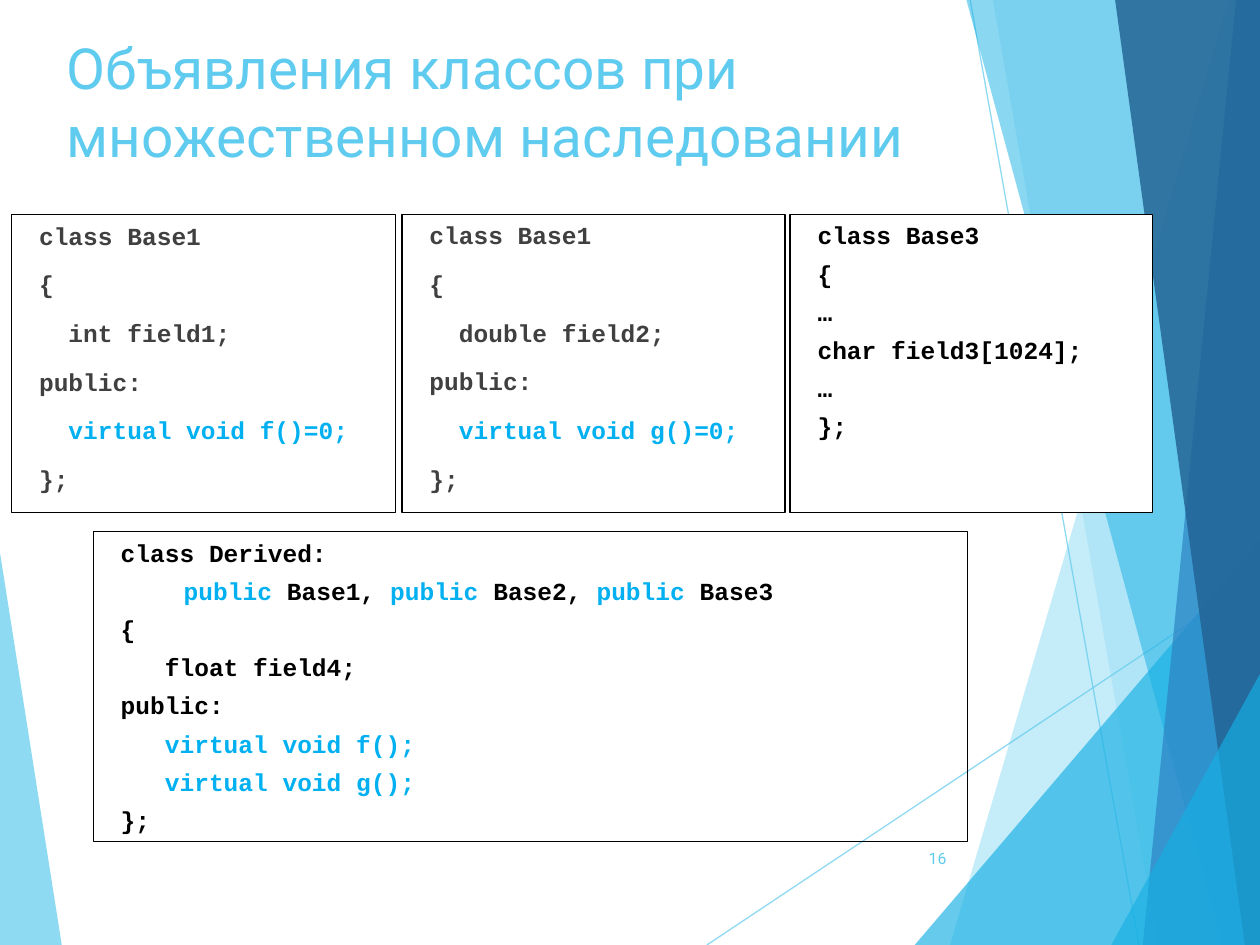
from lxml import etree
from pptx import Presentation
from pptx.dml.color import RGBColor
from pptx.enum.shapes import MSO_CONNECTOR, MSO_SHAPE
from pptx.enum.text import MSO_ANCHOR, MSO_AUTO_SIZE, PP_ALIGN
from pptx.oxml.ns import qn
from pptx.util import Inches, Pt

STRAIGHT = MSO_CONNECTOR.STRAIGHT
RECTANGLE = MSO_SHAPE.RECTANGLE
TOP, MIDDLE = MSO_ANCHOR.TOP, MSO_ANCHOR.MIDDLE
LEFT, RIGHT = PP_ALIGN.LEFT, PP_ALIGN.RIGHT
NO_FIT = MSO_AUTO_SIZE.NONE

WIDTH, HEIGHT = Inches(10), Inches(7.5)
SKY, KEYWORD, BLACK, GRAY = "5FCBEF", "00B0F0", "000000", "404040"
BASE_TOP, BASE_HEIGHT = 22.67, 31.6

FACETS = [
    ([(0, 58.5), (4.9, 100), (0, 100)], SKY, 70),
    ([(97.5, 0), (75.4, 100), (100, 100), (100, 0)], SKY, 36),
    ([(78.8, 0), (91.9, 100), (100, 100), (100, 0)], SKY, 20),
    ([(72.6, 100), (100, 57.2), (100, 100)], "17B0E4", 66),
    ([(76.7, 0), (97, 100), (100, 100), (100, 0)], "17B0E4", 50),
    ([(98.1, 0), (90.7, 100), (100, 100), (100, 0)], "2E83C3", 70),
    ([(88.5, 0), (98.8, 100), (100, 100), (100, 0)], "226292", 82),
    ([(88.2, 100), (100, 71.3), (100, 100)], "17B0E4", 66),
]
RAYS = [((56.1, 100), (100, 61)), ((77, 0), (90.4, 100))]

BASE3 = ["class Base3", "{", "…", "char field3[1024];", "…", "};"]
DERIVED = [
    "class Derived:",
    "\t|public| Base1, |public| Base2, |public| Base3",
    "{",
    "   float field4;",
    "public:",
    "|   virtual void f();",
    "|   virtual void g();",
    "};",
]


def color(code):
    return RGBColor.from_string(code)


def across(percent):
    return int(WIDTH * percent / 100)


def down(percent):
    return int(HEIGHT * percent / 100)


def area(left, top, width, height):
    return across(left), down(top), across(width), down(height)


def place(shape, bounds):
    shape.left, shape.top, shape.width, shape.height = bounds


def set_alpha(fill_format, percent):
    tone = fill_format._xPr.find(qn("a:solidFill"))[0]
    etree.SubElement(tone, qn("a:alpha")).set("val", str(percent * 1000))


def add_facet(slide, corners, tone, opacity):
    points = [(across(x), down(y)) for x, y in corners]
    builder = slide.shapes.build_freeform(*points[0])
    builder.add_line_segments(points[1:], close=True)
    facet = builder.convert_to_shape()
    facet.shadow.inherit = False
    facet.line.fill.background()
    facet.fill.solid()
    facet.fill.fore_color.rgb = color(tone)
    set_alpha(facet.fill, opacity)


def add_ray(slide, start, end):
    ray = slide.shapes.add_connector(
        STRAIGHT, across(start[0]), down(start[1]), across(end[0]), down(end[1]))
    ray.line.width = Pt(0.75)
    ray.line.color.rgb = color(SKY)
    set_alpha(ray.line.fill, 70)
    etree.SubElement(ray._element.spPr, qn("a:effectLst"))


def style(paragraph, font_name, size, tone, bold=False):
    font = paragraph.font
    font.name, font.size, font.bold = font_name, Pt(size), bold
    font.color.rgb = color(tone)


def write_code(box, lines, tone, gap):
    box.line.color.rgb = color(BLACK)
    box.line.width = Pt(0.75)
    frame = box.text_frame
    frame.word_wrap = True
    frame.auto_size = NO_FIT
    frame.vertical_anchor = TOP
    for index, line in enumerate(lines):
        paragraph = frame.add_paragraph() if index else frame.paragraphs[0]
        paragraph.alignment = LEFT
        paragraph.space_before = Pt(gap)
        properties = paragraph._p.get_or_add_pPr()
        properties.set("marL", str(Inches(0.12)))
        properties.set("indent", "0")
        etree.SubElement(properties, qn("a:buNone"))
        style(paragraph, "Courier New", 14, tone, bold=True)
        for position, part in enumerate(line.split("|")):
            if part:
                run = paragraph.add_run()
                run.text = part
                run.font.color.rgb = color(KEYWORD if position % 2 else tone)


def add_code_box(slide, bounds, lines, tone, gap, background=None):
    box = slide.shapes.add_shape(RECTANGLE, *bounds)
    box.shadow.inherit = False
    if background:
        box.fill.solid()
        box.fill.fore_color.rgb = color(background)
    else:
        box.fill.background()
    write_code(box, lines, tone, gap)


def base_class(field, method):
    return ["class Base1", "{", f"  {field};", "public:",
            f"|  virtual void {method}()=0;", "};"]


def write_title(title):
    place(title, area(4.3, 2.8, 90, 16.67))
    frame = title.text_frame
    frame.text = "Объявления классов при \vмножественном наследовании"
    frame.auto_size = NO_FIT
    frame.vertical_anchor = TOP
    frame.paragraphs[0].alignment = LEFT
    style(frame.paragraphs[0], "Roboto", 32.4, SKY)


def add_page_number(slide, number):
    frame = slide.shapes.add_textbox(*area(70.5, 88.13, 5.6, 5.33)).text_frame
    frame.text = number
    frame.word_wrap = True
    frame.vertical_anchor = MIDDLE
    frame.paragraphs[0].alignment = RIGHT
    style(frame.paragraphs[0], "Roboto", 9, SKY)


def main():
    deck = Presentation()
    deck.slide_width, deck.slide_height = WIDTH, HEIGHT
    slide = deck.slides.add_slide(deck.slide_layouts[1])

    for start, end in RAYS:
        add_ray(slide, start, end)
    for corners, tone, opacity in FACETS:
        add_facet(slide, corners, tone, opacity)

    write_title(slide.shapes.title)
    first_base = slide.placeholders[1]
    place(first_base, area(0.9, BASE_TOP, 30.5, BASE_HEIGHT))
    write_code(first_base, base_class("int field1", "f"), GRAY, 11)
    add_page_number(slide, "16")
    add_code_box(slide, area(62.7, BASE_TOP, 28.8, BASE_HEIGHT), BASE3, BLACK, 5, "FFFFFF")
    add_code_box(slide, area(7.4, 56.27, 69.4, 32.8), DERIVED, BLACK, 5)
    add_code_box(slide, area(31.9, BASE_TOP, 30.4, BASE_HEIGHT),
                 base_class("double field2", "g"), GRAY, 11)

    deck.save("out.pptx")


if __name__ == "__main__":
    main()
